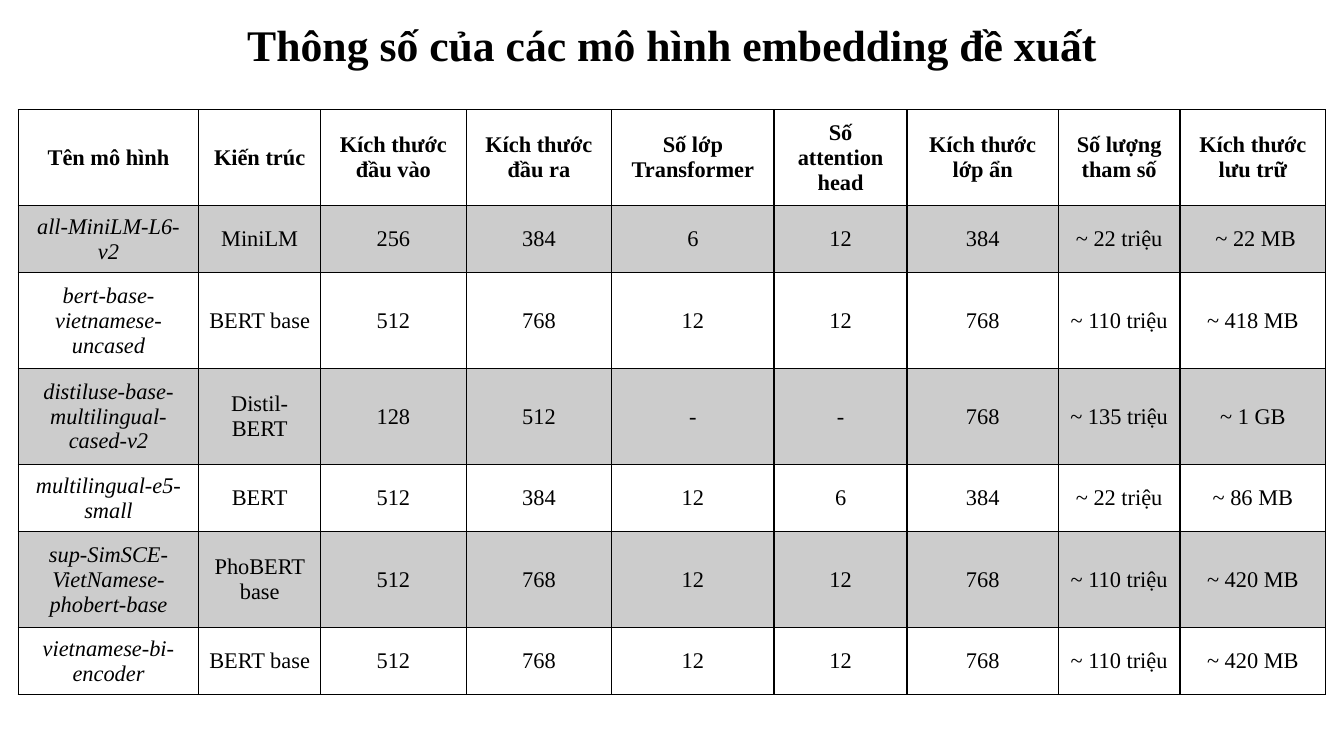
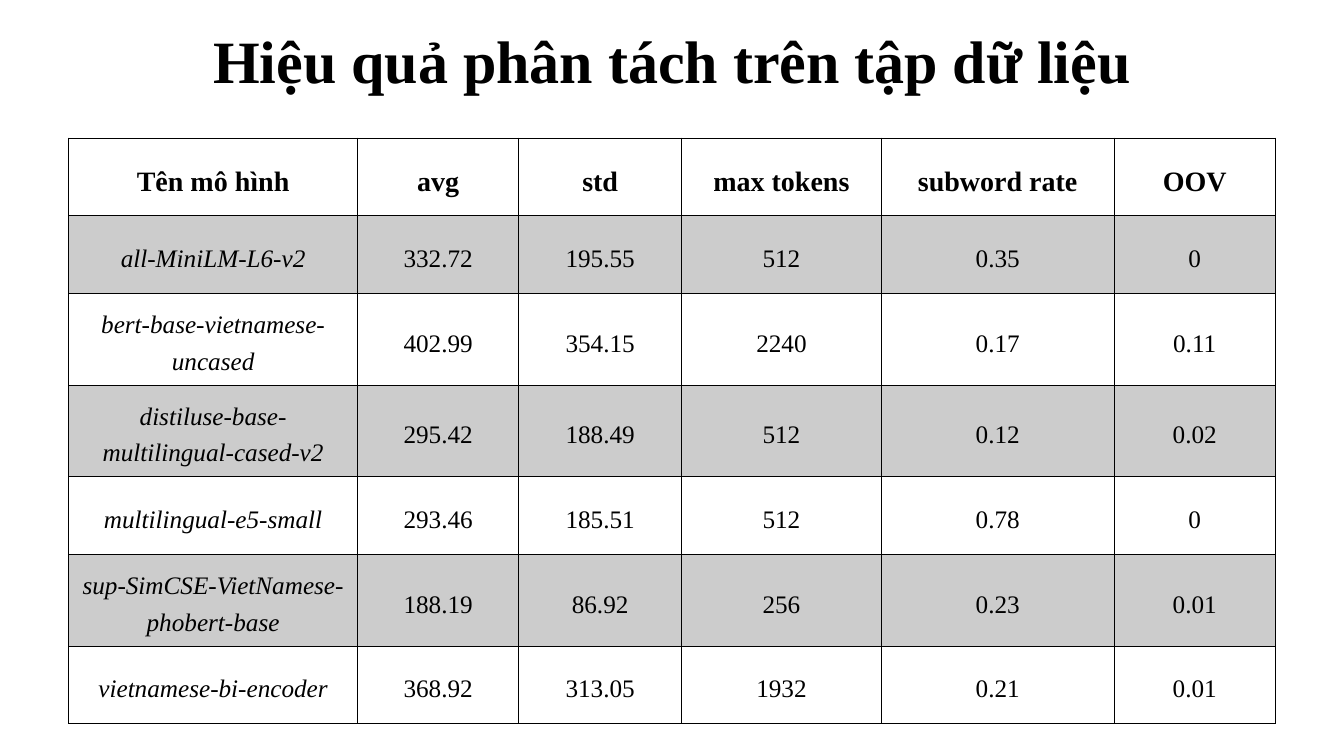
from lxml.etree import SubElement
from pptx import Presentation
from pptx.dml.color import RGBColor
from pptx.enum.text import MSO_ANCHOR, MSO_AUTO_SIZE, PP_ALIGN
from pptx.oxml import parse_xml
from pptx.oxml.ns import nsdecls, qn
from pptx.util import Pt

FONT = "Times New Roman"
COLORS = {"text": "000000", "border": "000000", "band": "000000"}
BAND_ALPHA = 20000  # thousandths of a percent

SLIDES = [
    {
        "title": "Thông số của các mô hình embedding đề xuất",
        "title_size": 31.2, "title_top": 15, "title_height": 40,
        "left": 13, "top": 78.3,
        "widths": [129, 87, 104, 104, 116, 95, 108, 87, 104],
        "heights": [68.5, 48, 68.5, 68.5, 48, 68.5, 48],
        "head_size": 16, "body_size": 16, "line_spacing": 1.0,
        "margins": (7.2, 3.6),
        "rows": [
            ["Tên mô hình", "Kiến trúc", "Kích thước đầu vào", "Kích thước đầu ra",
             "Số lớp Transformer", "Số attention head", "Kích thước\nlớp ẩn",
             "Số lượng tham số", "Kích thước lưu trữ"],
            ["all-MiniLM-L6-v2", "MiniLM", "256", "384", "6", "12", "384",
             "~ 22 triệu", " ~ 22 MB"],
            ["bert-base-vietnamese-uncased", "BERT base", "512", "768", "12", "12", "768",
             "~ 110 triệu", "~ 418 MB"],
            ["distiluse-base-multilingual-cased-v2", "Distil-BERT", "128", "512", "-", "-",
             "768", "~ 135 triệu", "~ 1 GB"],
            ["multilingual-e5-small", "BERT", "512", "384", "12", "6", "384",
             "~ 22 triệu", "~ 86 MB"],
            ["sup-SimSCE-VietNamese-phobert-base", "PhoBERT base", "512", "768", "12", "12",
             "768", "~ 110 triệu", "~ 420 MB"],
            ["vietnamese-bi-encoder", "BERT base", "512", "768", "12", "12", "768",
             "~ 110 triệu", "~ 420 MB"],
        ],
    },
    {
        "title": "Hiệu quả phân tách trên tập dữ liệu",
        "title_size": 42.9, "title_top": 21.6, "title_height": 52,
        "left": 49, "top": 98.7,
        "widths": [206.5, 115, 116.5, 142.5, 166.5, 115],
        "heights": [55.5, 55.5, 65.5, 65.5, 55.5, 65.5, 55.5],
        "head_size": 20, "body_size": 18, "line_spacing": 1.3,
        "margins": (5, 0),
        "rows": [
            ["Tên mô hình", "avg", "std", "max tokens", "subword rate", "OOV"],
            ["all-MiniLM-L6-v2", "332.72", "195.55", "512", "0.35", "0"],
            ["bert-base-vietnamese-uncased", "402.99", "354.15", "2240", "0.17", "0.11"],
            ["distiluse-base-multilingual-cased-v2", "295.42", "188.49", "512", "0.12", "0.02"],
            ["multilingual-e5-small", "293.46", "185.51", "512", "0.78", "0"],
            ["sup-SimCSE-VietNamese-phobert-base", "188.19", "86.92", "256", "0.23", "0.01"],
            ["vietnamese-bi-encoder", "368.92", "313.05", "1932", "0.21", "0.01"],
        ],
    },
]


def style_paragraph(p, size, bold, italic, spacing):
    p.alignment = PP_ALIGN.CENTER
    p.line_spacing = spacing
    p.font.name = FONT
    p.font.size = Pt(size)
    p.font.bold = bold
    p.font.italic = italic
    p.font.color.rgb = RGBColor.from_string(COLORS["text"])


def style_cell(cell, banded):
    """Draw the four borders, then the fill, in the order the schema asks for."""
    tc_pr = cell._tc.get_or_add_tcPr()
    for side in ("lnL", "lnR", "lnT", "lnB"):
        tc_pr.append(parse_xml(
            f'<a:{side} {nsdecls("a")} w="{Pt(1)}"><a:solidFill>'
            f'<a:srgbClr val="{COLORS["border"]}"/></a:solidFill></a:{side}>'))
    if banded:
        cell.fill.solid()
        cell.fill.fore_color.rgb = RGBColor.from_string(COLORS["band"])
        color = tc_pr.find(qn("a:solidFill")).find(qn("a:srgbClr"))
        SubElement(color, qn("a:alpha")).set("val", str(BAND_ALPHA))
    else:
        cell.fill.background()


prs = Presentation()
prs.slide_width, prs.slide_height = Pt(960), Pt(540)

for spec_sheet in SLIDES:
    s = prs.slides.add_slide(prs.slide_layouts[5])

    title = s.shapes.title
    title.left, title.width = Pt(66), Pt(828)
    title.top, title.height = Pt(spec_sheet["title_top"]), Pt(spec_sheet["title_height"])
    tf = title.text_frame
    tf.text = spec_sheet["title"]
    tf.auto_size = MSO_AUTO_SIZE.NONE
    tf.vertical_anchor = MSO_ANCHOR.MIDDLE
    style_paragraph(tf.paragraphs[0], spec_sheet["title_size"], True, False, 0.8)

    rows, widths, heights = (spec_sheet[k] for k in ("rows", "widths", "heights"))
    table = s.shapes.add_table(
        len(rows), len(widths), Pt(spec_sheet["left"]), Pt(spec_sheet["top"]),
        Pt(sum(widths)), Pt(sum(heights))).table
    table.first_row = table.horz_banding = False
    for column, width in zip(table.columns, widths):
        column.width = Pt(width)
    for row, height in zip(table.rows, heights):
        row.height = Pt(height)

    margin_x, margin_y = spec_sheet["margins"]
    for i, texts in enumerate(rows):
        is_head = i == 0
        size = spec_sheet["head_size" if is_head else "body_size"]
        for j, text in enumerate(texts):
            cell = table.cell(i, j)
            cell.text = text
            cell.vertical_anchor = MSO_ANCHOR.MIDDLE
            cell.margin_left = cell.margin_right = Pt(margin_x)
            cell.margin_top = cell.margin_bottom = Pt(margin_y)
            style_cell(cell, banded=i % 2 == 1)
            for p in cell.text_frame.paragraphs:
                style_paragraph(p, size, is_head, not is_head and j == 0,
                                spec_sheet["line_spacing"])

prs.save("out.pptx")
